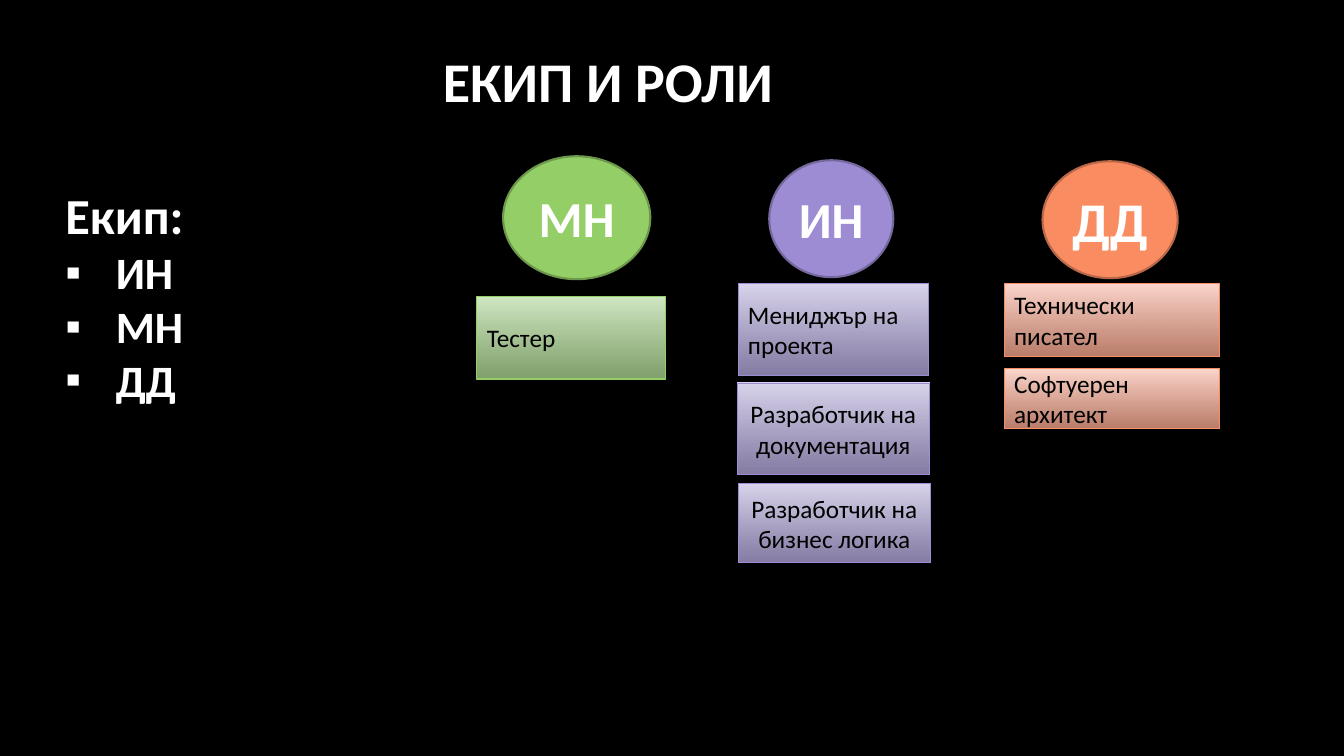
from lxml import etree
from pptx import Presentation
from pptx.dml.color import RGBColor
from pptx.enum.shapes import MSO_SHAPE
from pptx.enum.text import MSO_ANCHOR, PP_ALIGN
from pptx.oxml.ns import qn
from pptx.util import Inches, Pt

RECTANGLE = MSO_SHAPE.RECTANGLE
CIRCLE = MSO_SHAPE.FLOWCHART_CONNECTOR
TOP, MIDDLE = MSO_ANCHOR.TOP, MSO_ANCHOR.MIDDLE
LEFT, CENTER = PP_ALIGN.LEFT, PP_ALIGN.CENTER

# Palette: main colour, circle outline, gradient top, gradient bottom
GREEN = ("94CE67", "6D984C", "D2E9C5", "AED893")
PURPLE = ("9D8CD3", "74689C", "DBD6EE", "B4A9DC")
ORANGE = ("F98C61", "B86848", "FDD8CE", "FAA990")

# Each member: palette, initials, text size, circle box, roles (text, box, alignment)
MEMBERS = [
    (GREEN, "МН", 36, (4.99, 1.55, 1.46, 1.22), [
        ("Тестер", (4.73, 2.94, 1.87, 0.82), LEFT),
    ]),
    (PURPLE, "ИН", 36, (7.63, 1.59, 1.23, 1.16), [
        ("Мениджър на проекта", (7.32, 2.81, 1.89, 0.92), LEFT),
        ("Разработчик на документация", (7.31, 3.8, 1.91, 0.91), CENTER),
        ("Разработчик на бизнес логика", (7.32, 4.8, 1.91, 0.78), CENTER),
    ]),
    (ORANGE, "ДД", 40, (10.34, 1.6, 1.34, 1.16), [
        ("Технически писател", (9.96, 2.81, 2.14, 0.73), LEFT),
        ("Софтуерен архитект", (9.96, 3.66, 2.14, 0.59), LEFT),
    ]),
]


def color(value):
    return RGBColor.from_string(value)


class TeamSlide:
    heading = {"name": "Calibri", "bold": True}
    body = {"name": "Calibri", "bold": False}

    def __init__(self, presentation, background):
        self.slide = presentation.slides.add_slide(presentation.slide_layouts[6])
        fill = self.slide.background.fill
        fill.solid()
        fill.fore_color.rgb = color(background)

    def add_text(self, paragraph, text, size, style, text_color, alignment):
        paragraph.alignment = alignment
        run = paragraph.add_run()
        run.text = text
        for name, value in {**style, "size": Pt(size)}.items():
            setattr(run.font, name, value)
        run.font.color.rgb = color(text_color)

    def text_box(self, box, anchor):
        frame = self.slide.shapes.add_textbox(*map(Inches, box)).text_frame
        frame.word_wrap = True
        frame.vertical_anchor = anchor
        return frame

    def title(self, text, box):
        frame = self.text_box(box, MIDDLE)
        self.add_text(frame.paragraphs[0], text, 40, self.heading, "FFFFFF", CENTER)

    def bullet_list(self, heading, items, box):
        frame = self.text_box(box, TOP)
        self.add_text(frame.paragraphs[0], heading, 36, self.heading, "FFFFFF", LEFT)
        for item in items:
            paragraph = frame.add_paragraph()
            self.add_text(paragraph, item, 32, self.heading, "FFFFFF", LEFT)
            properties = paragraph._p.get_or_add_pPr()
            properties.set("marL", str(Inches(0.5)))
            properties.set("indent", str(Inches(-0.5)))
            etree.SubElement(properties, qn("a:buFont")).set("typeface", "Arial")
            etree.SubElement(properties, qn("a:buChar")).set("char", "▪")

    def shape(self, kind, box, line_color, line_width):
        shape = self.slide.shapes.add_shape(kind, *map(Inches, box))
        shape.shadow.inherit = False
        shape.line.color.rgb = color(line_color)
        shape.line.width = Pt(line_width)
        shape.text_frame.word_wrap = True
        shape.text_frame.vertical_anchor = MIDDLE
        return shape

    def circle(self, initials, size, box, palette):
        shape = self.shape(CIRCLE, box, palette[1], 1.5)
        shape.fill.solid()
        shape.fill.fore_color.rgb = color(palette[0])
        frame = shape.text_frame
        frame.margin_left = frame.margin_right = 0
        self.add_text(frame.paragraphs[0], initials, size, self.heading, "FFFFFF", CENTER)

    def role(self, text, box, alignment, palette):
        shape = self.shape(RECTANGLE, box, palette[0], 0.75)
        shape.fill.gradient()
        shape.fill.gradient_angle = 270
        for stop, value in zip(shape.fill.gradient_stops, palette[2:]):
            stop.color.rgb = color(value)
        # The lower end of the gradient is 74% opaque
        bottom = shape._element.spPr.findall(".//" + qn("a:gs"))[-1][0]
        etree.SubElement(bottom, qn("a:alpha")).set("val", "74000")
        self.add_text(shape.text_frame.paragraphs[0], text, 18, self.body, "000000", alignment)


def main():
    presentation = Presentation()
    presentation.slide_width = Inches(13.33)
    presentation.slide_height = Inches(7.5)
    team = TeamSlide(presentation, "000000")

    # Title and list of members
    team.title("ЕКИП И РОЛИ", (0.49, 0, 11.08, 1.59))
    team.bullet_list("Екип:", ["ИН", "МН", "ДД"], (0.55, 1.78, 4.33, 2.32))

    # Members with their roles below
    for palette, initials, size, circle_box, roles in MEMBERS:
        team.circle(initials, size, circle_box, palette)
        for text, box, alignment in roles:
            team.role(text, box, alignment, palette)

    presentation.save("out.pptx")


if __name__ == "__main__":
    main()
